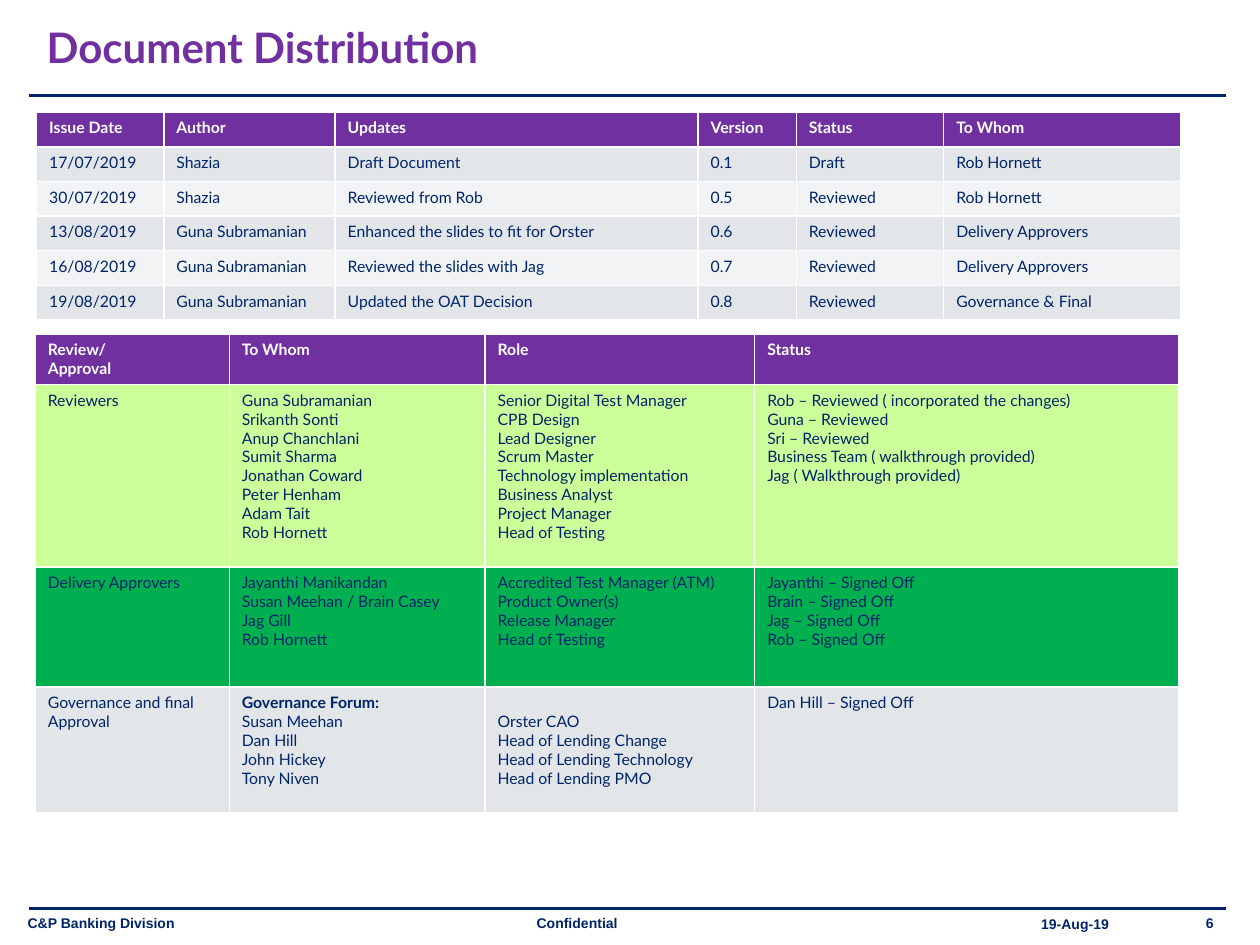
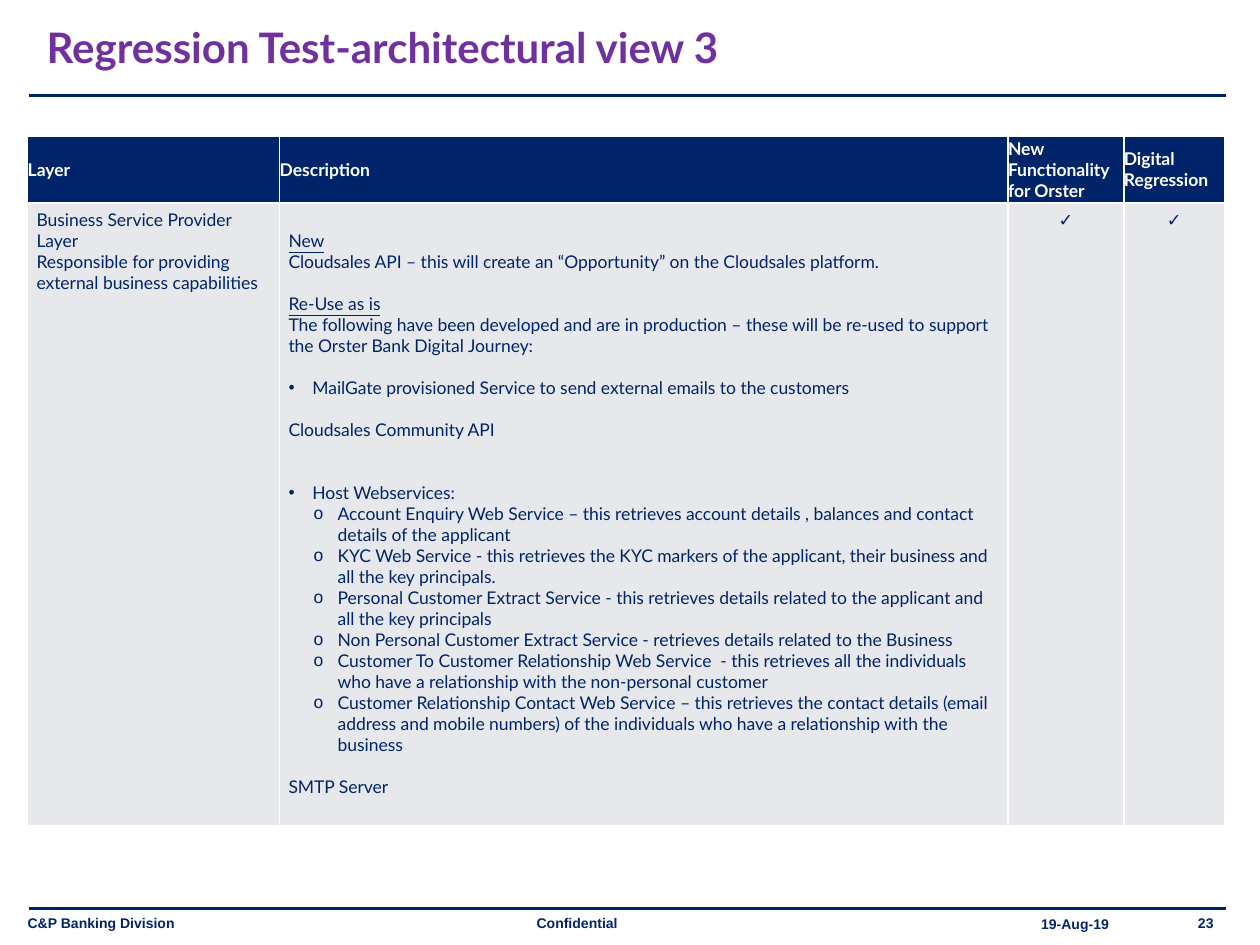
from dataclasses import dataclass

from pptx import Presentation
from pptx.dml.color import RGBColor
from pptx.enum.shapes import MSO_CONNECTOR
from pptx.enum.text import MSO_ANCHOR, PP_ALIGN
from pptx.oxml.xmlchemy import OxmlElement
from pptx.util import Inches, Pt


@dataclass(frozen=True)
class Theme:
    navy: str = "002469"
    purple: str = "7030A0"
    white: str = "FFFFFF"
    grey: str = "E2E6E9"
    pale_grey: str = "F1F3F4"
    cool_grey: str = "E7E8EB"
    lime: str = "CCFF99"
    green: str = "00B050"
    body_font: str = "Lato"
    footer_font: str = "Arial"
    title_size: int = 24
    body_size: int = 10
    small_size: int = 9
    footer_size: int = 8


theme = Theme()


def write(frame, paragraphs, color, size, bold=False, font=theme.body_font, align=PP_ALIGN.LEFT):
    """Fill a text frame; each paragraph is a string or a (string, options) pair."""
    frame.word_wrap = True
    for index, entry in enumerate(paragraphs):
        text, options = (entry, {}) if isinstance(entry, str) else entry
        paragraph = frame.paragraphs[0] if index == 0 else frame.add_paragraph()
        if "bullet" in options:
            properties = paragraph._p.get_or_add_pPr()
            properties.set("marL", str(Inches(options["indent"])))
            properties.set("indent", str(Inches(-0.19)))
            bullet_font = OxmlElement("a:buFont")
            bullet_font.set("typeface", theme.footer_font)
            bullet = OxmlElement("a:buChar")
            bullet.set("char", options["bullet"])
            properties.extend([bullet_font, bullet])
        paragraph.alignment = align
        paragraph.space_before = Pt(options.get("before", 0))
        run = paragraph.add_run()
        run.text = text
        formats = {"name": font, "size": Pt(size), "bold": options.get("bold", bold),
                   "underline": options.get("underline", False)}
        for attribute, value in formats.items():
            setattr(run.font, attribute, value)
        run.font.color.rgb = RGBColor.from_string(color)


def add_grid(slide, left, top, columns, heights, rows, fills, size):
    """Add a table with a white bold header row and one fill per row."""
    grid = slide.shapes.add_table(len(rows), len(columns), Inches(left), Inches(top),
                                  Inches(sum(columns)), Inches(sum(heights))).table
    grid.horz_banding = False
    for column, width in zip(grid.columns, columns):
        column.width = Inches(width)
    for row_index, (row, height, fill) in enumerate(zip(rows, heights, fills)):
        grid.rows[row_index].height = Inches(height)
        for column_index, content in enumerate(row):
            cell = grid.cell(row_index, column_index)
            cell.fill.solid()
            cell.fill.fore_color.rgb = RGBColor.from_string(fill)
            paragraphs = [content] if isinstance(content, str) else content
            header = row_index == 0
            write(cell.text_frame, paragraphs, theme.white if header else theme.navy, size,
                  bold=header or content == "✓",
                  align=PP_ALIGN.CENTER if content == "✓" else PP_ALIGN.LEFT)
    return grid


deck = Presentation()
deck.slide_width, deck.slide_height = Inches(10), Inches(7.5)

# Shared title, rules and footer
slides = []
for title, number in [("Document Distribution", "6"),
                      ("Regression Test-architectural view 3", "23")]:
    slide = deck.slides.add_slide(deck.slide_layouts[5])
    slides.append(slide)
    heading = slide.shapes.title
    for side, length in {"left": 0.27, "top": 0.14, "width": 7.48, "height": 0.46}.items():
        setattr(heading, side, Inches(length))
    heading.text_frame.vertical_anchor = MSO_ANCHOR.MIDDLE
    write(heading.text_frame, [title], theme.purple, theme.title_size, bold=True)

    for y in (0.76, 7.21):
        rule = slide.shapes.add_connector(MSO_CONNECTOR.STRAIGHT, Inches(0.23), Inches(y),
                                          Inches(9.73), Inches(y))
        rule.line.color.rgb = RGBColor.from_string(theme.navy)
        rule.line.width = Pt(1.5)
        rule._element.spPr.append(OxmlElement("a:effectLst"))

    for text, left, top, width, align in [
        ("C&P Banking Division", 0.12, 7.21, 3.91, PP_ALIGN.LEFT),
        ("Confidential", 4.16, 7.21, 3.91, PP_ALIGN.LEFT),
        ("19-Aug-19", 8.15, 7.22, 0.75, PP_ALIGN.RIGHT),
        (number, 9.01, 7.21, 0.72, PP_ALIGN.RIGHT),
    ]:
        footer = slide.shapes.add_textbox(Inches(left), Inches(top), Inches(width), Inches(0.24))
        write(footer.text_frame, [text], theme.navy, theme.footer_size, bold=True,
              font=theme.footer_font, align=align)

distribution, architecture = slides

# Issue history
issues = [
    ("Issue Date", "Author", "Updates", "Version", "Status", "To Whom"),
    ("17/07/2019", "Shazia", "Draft Document", "0.1", "Draft", "Rob Hornett"),
    ("30/07/2019", "Shazia", "Reviewed from Rob", "0.5", "Reviewed", "Rob Hornett"),
    ("13/08/2019", "Guna Subramanian", "Enhanced the slides to fit for Orster", "0.6",
     "Reviewed", "Delivery Approvers"),
    ("16/08/2019", "Guna Subramanian", "Reviewed the slides with Jag", "0.7",
     "Reviewed", "Delivery Approvers"),
    ("19/08/2019", "Guna Subramanian", "Updated the OAT Decision", "0.8",
     "Reviewed", "Governance & Final"),
]
issue_fills = [theme.purple] + [theme.pale_grey if i % 2 else theme.grey
                                for i in range(len(issues) - 1)]
add_grid(distribution, 0.29, 0.89, [1.01, 1.36, 2.88, 0.78, 1.17, 1.88],
         [1.65 / len(issues)] * len(issues), issues, issue_fills, theme.small_size)

# Reviews and approvals
approvals = [
    (["Review/", "Approval"], "To Whom", "Role", "Status"),
    ("Reviewers",
     ["Guna Subramanian", "Srikanth Sonti", "Anup Chanchlani", "Sumit Sharma",
      "Jonathan Coward", "Peter Henham", "Adam Tait", "Rob Hornett"],
     ["Senior Digital Test Manager", "CPB Design", "Lead Designer", "Scrum Master",
      "Technology implementation", "Business Analyst", "Project Manager", "Head of Testing"],
     ["Rob – Reviewed ( incorporated the changes)", "Guna – Reviewed", "Sri – Reviewed",
      "Business Team ( walkthrough provided)", "Jag ( Walkthrough provided)"]),
    ("Delivery Approvers",
     ["Jayanthi Manikandan", "Susan Meehan / Brain Casey", "Jag Gill", "Rob Hornett"],
     ["Accredited Test Manager (ATM)", "Product Owner(s)", "Release Manager",
      "Head of Testing"],
     ["Jayanthi – Signed Off", "Brain – Signed Off", "Jag – Signed Off", "Rob – Signed Off"]),
    ("Governance and final Approval",
     [("Governance Forum:", {"bold": True}), "Susan Meehan", "Dan Hill", "John Hickey",
      "Tony Niven"],
     ["Orster CAO", "Head of Lending Change", "Head of Lending Technology",
      "Head of Lending PMO"],
     "Dan Hill – Signed Off"),
]
approval_grid = add_grid(distribution, 0.28, 2.65, [1.54, 2.03, 2.14, 3.37],
                         [0.39, 1.45, 0.95, 1.0], approvals,
                         [theme.purple, theme.lime, theme.green, theme.grey], theme.small_size)
# Roles start beside the first forum member
approval_grid.cell(3, 2).margin_top = Inches(0.2)

# Service layer and its regression scope
section = {"underline": True}
gap = {"before": 12}
point = {"bullet": "•", "indent": 0.19}
services = [
    "Account Enquiry Web Service – this retrieves account details , balances and contact "
    "details of the applicant",
    "KYC Web Service - this retrieves the KYC markers of the applicant, their business and "
    "all the key principals.",
    "Personal Customer Extract Service - this retrieves details related to the applicant and "
    "all the key principals",
    "Non Personal Customer Extract Service - retrieves details related to the Business",
    "Customer To Customer Relationship Web Service  - this retrieves all the individuals "
    "who have a relationship with the non-personal customer",
    "Customer Relationship Contact Web Service – this retrieves the contact details (email "
    "address and mobile numbers) of the individuals who have a relationship with the business",
]
description = [
    ("New", section),
    "Cloudsales API – this will create an “Opportunity” on the Cloudsales platform.",
    ("Re-Use as is", section | gap),
    "The following have been developed and are in production – these will be re-used to "
    "support the Orster Bank Digital Journey:",
    ("MailGate provisioned Service to send external emails to the customers", point | gap),
    ("Cloudsales Community API", gap),
    ("Host Webservices:", point | {"before": 24}),
    *[(service, {"bullet": "o", "indent": 0.39}) for service in services],
    ("SMTP Server", gap),
]
layers = [
    ("Layer", "Description", "New Functionality for Orster", "Digital Regression"),
    (["Business Service Provider Layer",
      "Responsible for providing external business capabilities"], description, "✓", "✓"),
]
layer_grid = add_grid(architecture, 0.22, 1.08, [2, 5.78, 0.92, 0.8], [0.53, 4.94], layers,
                      [theme.navy, theme.cool_grey], theme.body_size)
for header in layer_grid.rows[0].cells:
    header.vertical_anchor = MSO_ANCHOR.MIDDLE
    for margin in ("margin_left", "margin_top", "margin_right", "margin_bottom"):
        setattr(header, margin, Inches(0))
for column_index in (0, 1):
    body = layer_grid.cell(1, column_index)
    body.margin_left = body.margin_right = Inches(0.07)
# The description starts one line lower than its neighbours
layer_grid.cell(1, 1).margin_top = Inches(0.22)

deck.save("out.pptx")
